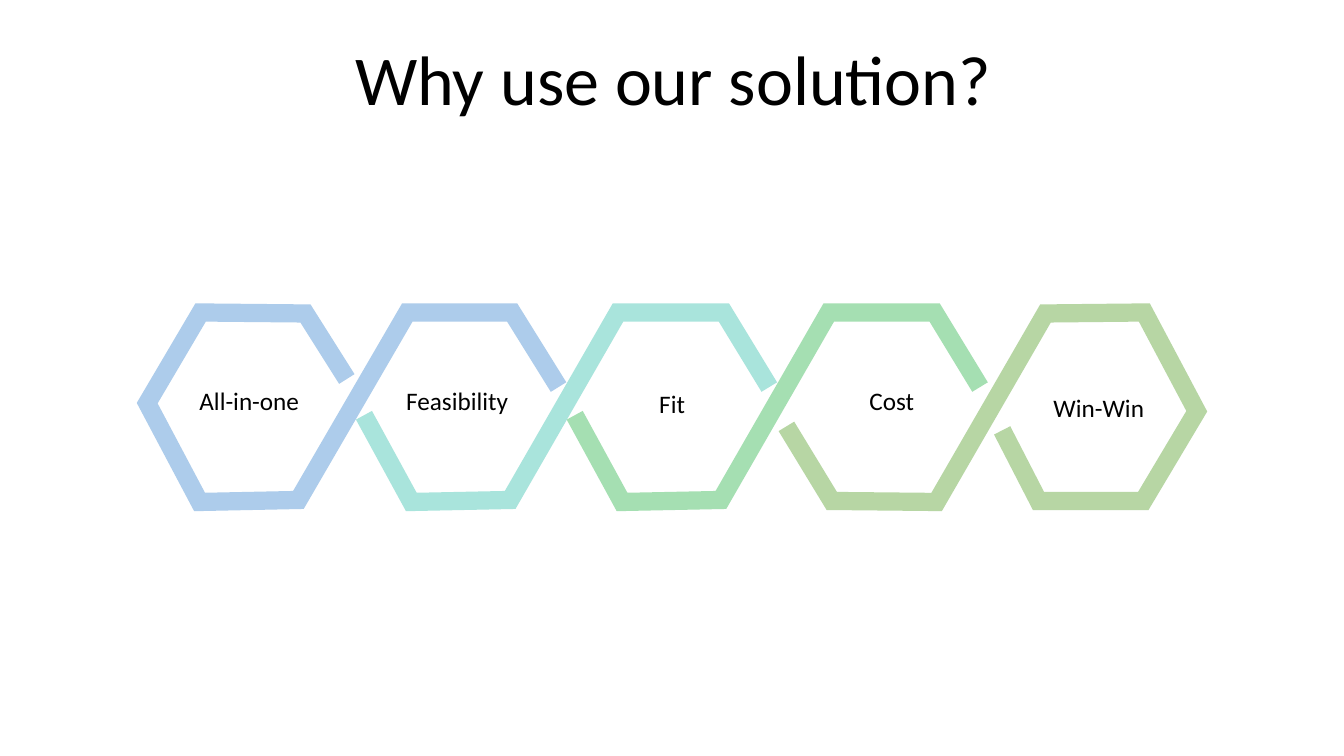
from lxml.etree import SubElement
from pptx import Presentation
from pptx.dml.color import RGBColor
from pptx.enum.text import MSO_ANCHOR as Anchor, MSO_AUTO_SIZE as AutoSize, PP_ALIGN as Align
from pptx.oxml.ns import qn
from pptx.util import Inches, Pt

BLACK = RGBColor(0x00, 0x00, 0x00)
BLUE = RGBColor(0xAD, 0xCC, 0xEB)
TEAL = RGBColor(0xA9, 0xE4, 0xDC)
GREEN = RGBColor(0xA5, 0xDF, 0xB2)
OLIVE = RGBColor(0xB7, 0xD6, 0xA4)

deck = Presentation()
deck.slide_width, deck.slide_height = Inches(13.33), Inches(7.5)
slide = deck.slides.add_slide(deck.slide_layouts[6])


def add_text(text, left, top, width, height, size=18, align=Align.LEFT,
             anchor=Anchor.TOP, wrap=True, fit=AutoSize.SHAPE_TO_FIT_TEXT):
    box = slide.shapes.add_textbox(Inches(left), Inches(top), Inches(width), Inches(height))
    frame = box.text_frame
    frame.word_wrap = wrap
    frame.auto_size = fit
    frame.vertical_anchor = anchor
    paragraph = frame.paragraphs[0]
    paragraph.alignment = align
    run = paragraph.add_run()
    run.text = text
    run.font.name = "Calibri"
    run.font.size = Pt(size)
    run.font.color.rgb = BLACK


add_text("Why use our solution?", 0.35, 0.37, 12.66, 0.79, size=50,
         align=Align.CENTER, anchor=Anchor.MIDDLE, fit=AutoSize.NONE)

first_band = [(3.44, 3.76), (3.03, 3.11), (1.99, 3.1), (1.46, 4), (1.98, 4.98),
              (2.96, 4.96), (4.04, 3.1), (5.08, 3.1), (5.54, 3.84)]
middle_band = [(3.61, 4.12), (4.08, 4.98), (5.06, 4.96), (6.13, 3.1), (7.18, 3.1), (7.63, 3.84)]
last_band = [(9.94, 4.27), (10.3, 4.97), (11.34, 4.97), (11.87, 4.08), (11.35, 3.1),
             (10.37, 3.11), (9.29, 4.98), (8.25, 4.97), (7.8, 4.23)]
PITCH = 2.09

for points, shift, color in [(first_band, 0, BLUE), (middle_band, 0, TEAL),
                             (middle_band, PITCH, GREEN), (last_band, 0, OLIVE)]:
    corners = [(Inches(x + shift), Inches(y)) for x, y in points]
    outline = slide.shapes.build_freeform(*corners[0])
    outline.add_line_segments(corners[1:], close=False)
    band = outline.convert_to_shape()
    band.shadow.inherit = False
    band.fill.background()
    band.line.color.rgb = color
    band.line.width = Pt(13)
    SubElement(band.line._get_or_add_ln(), qn("a:miter"), lim="800000")

for label, left, top, width in [("All-in-one", 1.88, 3.77, 1.2), ("Feasibility", 3.93, 3.77, 1.22),
                                ("Fit", 6.44, 3.8, 0.46), ("Win-Win", 10.35, 3.84, 1.11)]:
    add_text(label, left, top, width, 0.4, wrap=False)
add_text("Cost", 7.92, 3.77, 1.85, 0.4, align=Align.CENTER)

deck.save("out.pptx")
